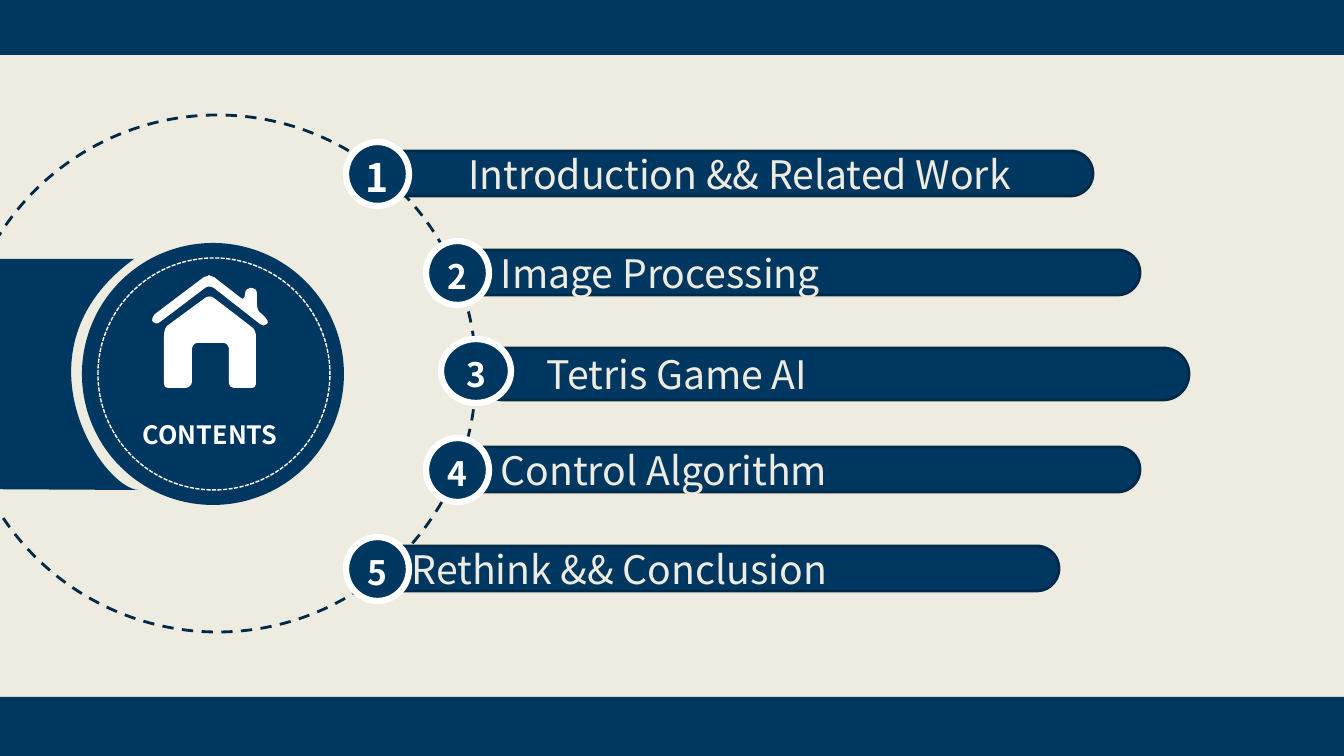
from dataclasses import dataclass

from lxml import etree
from pptx import Presentation
from pptx.dml.color import RGBColor
from pptx.enum.dml import MSO_LINE
from pptx.enum.shapes import MSO_SHAPE
from pptx.enum.text import MSO_ANCHOR, PP_ALIGN
from pptx.oxml.ns import qn
from pptx.shapes.autoshape import Shape
from pptx.slide import Slide
from pptx.util import Emu, Pt

NAVY = RGBColor(0x00, 0x37, 0x60)
DARK_NAVY = RGBColor(0x00, 0x29, 0x47)
CREAM = RGBColor(0xEE, 0xEC, 0xE1)
WHITE = RGBColor(0xFF, 0xFF, 0xFF)
FONT = "Noto Sans CJK SC"

RECTANGLE = MSO_SHAPE.RECTANGLE
ROUNDED = MSO_SHAPE.ROUNDED_RECTANGLE
OVAL = MSO_SHAPE.OVAL
DASH = MSO_LINE.DASH
SHORT_DASH = MSO_LINE.SQUARE_DOT
LEFT = PP_ALIGN.LEFT
CENTER = PP_ALIGN.CENTER
MIDDLE = MSO_ANCHOR.MIDDLE

EMU_PER_PX = 914400 / 100.8
SLIDE_WIDTH, SLIDE_HEIGHT = 1344, 756
FIRST_BAR_TOP = 151
THREE_BAR_PITCHES = 296
BADGE_OFFSET = 9
BADGE_HEIGHT = 64
NUMBER_HEIGHT = 54


@dataclass(frozen=True)
class Box:
    left: int
    top: int
    width: int
    height: int


@dataclass(frozen=True)
class Entry:
    title: str
    left: int
    width: int
    indent: int
    badge_left: int
    height: int = 45
    badge_width: int = 63
    number_size: int = 24
    align: PP_ALIGN = LEFT


@dataclass(frozen=True)
class Outline:
    start: tuple[int, int]
    segments: tuple[tuple[int, ...], ...]
    fill: RGBColor


ENTRIES = (
    Entry("Introduction && Related Work", 377, 716, 19, 346, number_size=28, align=CENTER),
    Entry("Image Processing", 458, 682, 36, 426),
    Entry("Tetris Game AI", 477, 712, 62, 441, height=52, badge_width=70),
    Entry("Control Algorithm", 458, 682, 36, 426),
    Entry("Rethink && Conclusion", 377, 682, 28, 346),
)

RIBBON = Outline(
    (-50, 259),
    ((134, 259), (9, 350, 103, 490, 139, 490), (-50, 489)),
    NAVY,
)
HOUSE_WALLS = Outline(
    (214, 298),
    (
        (212, 296, 207, 296, 205, 298), (167, 326),
        (165, 328, 164, 332, 164, 336), (164, 382),
        (164, 386, 165, 388, 169, 388), (186, 388),
        (187, 388, 192, 386, 192, 382), (192, 349),
        (192, 347, 194, 343, 197, 343), (224, 343),
        (227, 343, 229, 347, 229, 349), (229, 382),
        (229, 386, 231, 388, 234, 388), (251, 388),
        (255, 388, 256, 386, 256, 382), (256, 336),
        (256, 334, 255, 330, 253, 328),
    ),
    WHITE,
)
HOUSE_ROOF = Outline(
    (262, 314),
    (
        (258, 312, 257, 308, 257, 304), (257, 294),
        (257, 290, 255, 288, 251, 288), (250, 288),
        (248, 288, 245, 290, 245, 294),
        (245, 298, 243, 300, 241, 298), (214, 277),
        (212, 277, 209, 275, 209, 275),
        (209, 275, 207, 277, 204, 277), (155, 314),
        (153, 316, 151, 320, 153, 322),
        (155, 324, 157, 324, 160, 322), (205, 288),
        (207, 286, 211, 286, 214, 288), (260, 324),
        (262, 326, 265, 326, 267, 324),
        (269, 322, 267, 319, 265, 317),
    ),
    WHITE,
)


def px(length: int) -> Emu:
    return Emu(round(length * EMU_PER_PX))


def style_shape(shape: Shape, fill: RGBColor | None, line: RGBColor | None = None,
                line_width: float = 1, dash: MSO_LINE | None = None) -> None:
    shape.shadow.inherit = False
    if fill is None:
        shape.fill.background()
    else:
        shape.fill.solid()
        shape.fill.fore_color.rgb = fill
    if line is None:
        shape.line.fill.background()
        return
    shape.line.color.rgb = line
    shape.line.width = Pt(line_width)
    if dash is not None:
        shape.line.dash_style = dash


def add_shape(slide: Slide, kind: MSO_SHAPE, box: Box, fill: RGBColor | None,
              line: RGBColor | None = None, line_width: float = 1,
              dash: MSO_LINE | None = None) -> Shape:
    shape = slide.shapes.add_shape(
        kind, px(box.left), px(box.top), px(box.width), px(box.height))
    style_shape(shape, fill, line, line_width, dash)
    return shape


def add_text_box(slide: Slide, box: Box) -> Shape:
    return slide.shapes.add_textbox(
        px(box.left), px(box.top), px(box.width), px(box.height))


def write_text(shape: Shape, text: str, *, size: int, color: RGBColor,
               bold: bool = False, align: PP_ALIGN = LEFT,
               left: int = 10, right: int = 10, bottom: int = 0) -> None:
    frame = shape.text_frame
    frame.word_wrap = True
    frame.vertical_anchor = MIDDLE
    frame.margin_left, frame.margin_right = px(left), px(right)
    frame.margin_top, frame.margin_bottom = 0, px(bottom)
    paragraph = frame.paragraphs[0]
    paragraph.alignment = align
    run = paragraph.add_run()
    run.text = text
    run.font.name = FONT
    run.font.size = Pt(size)
    run.font.bold = bold
    run.font.color.rgb = color


def add_outline(slide: Slide, outline: Outline) -> None:
    builder = slide.shapes.build_freeform(*map(px, outline.start))
    for segment in outline.segments:
        points = zip(map(px, segment[::2]), map(px, segment[1::2]))
        builder.add_line_segments(list(points), close=False)
    builder.add_line_segments([tuple(map(px, outline.start))], close=True)
    shape = builder.convert_to_shape()
    style_shape(shape, outline.fill)
    lines = iter(shape._element.xpath(".//a:lnTo"))
    for segment in outline.segments:
        pieces = [next(lines) for _ in range(len(segment) // 2)]
        if len(pieces) == 3:
            curve = etree.Element(qn("a:cubicBezTo"))
            pieces[0].addprevious(curve)
            for piece in pieces:
                curve.append(piece[0])
                piece.getparent().remove(piece)


def add_entry(slide: Slide, index: int, entry: Entry) -> None:
    top = FIRST_BAR_TOP + round(index * THREE_BAR_PITCHES / 3)
    bar = add_shape(slide, ROUNDED, Box(entry.left, top, entry.width, entry.height),
                    NAVY, DARK_NAVY, 2)
    bar.adjustments[0] = 0.5
    write_text(bar, entry.title, size=28, color=CREAM,
               align=entry.align, left=entry.indent)
    add_shape(slide, OVAL, Box(entry.badge_left, top - BADGE_OFFSET,
                               entry.badge_width, BADGE_HEIGHT), NAVY, WHITE, 4.5)
    number = add_text_box(slide, Box(entry.badge_left, top + BADGE_OFFSET,
                                     entry.badge_width, NUMBER_HEIGHT))
    write_text(number, str(index + 1), size=entry.number_size, color=WHITE,
               bold=True, align=CENTER, bottom=20)


def main() -> None:
    presentation = Presentation()
    presentation.slide_width = px(SLIDE_WIDTH)
    presentation.slide_height = px(SLIDE_HEIGHT)
    slide = presentation.slides.add_slide(presentation.slide_layouts[6])
    slide.background.fill.solid()
    slide.background.fill.fore_color.rgb = CREAM

    add_shape(slide, OVAL, Box(-41, 115, 517, 517), CREAM, DARK_NAVY, 2, DASH)
    add_outline(slide, RIBBON)
    add_shape(slide, OVAL, Box(82, 243, 262, 262), NAVY)
    add_outline(slide, HOUSE_WALLS)
    add_outline(slide, HOUSE_ROOF)
    heading = add_text_box(slide, Box(133, 405, 169, 59))
    write_text(heading, "CONTENTS", size=18, color=WHITE, bold=True)
    add_shape(slide, OVAL, Box(98, 258, 232, 232), None, WHITE, 1, SHORT_DASH)
    for band_top in (-4, 697):
        add_shape(slide, RECTANGLE, Box(0, band_top, SLIDE_WIDTH, 59), NAVY)
    for index, entry in enumerate(ENTRIES):
        add_entry(slide, index, entry)
    presentation.save("out.pptx")


if __name__ == "__main__":
    main()
